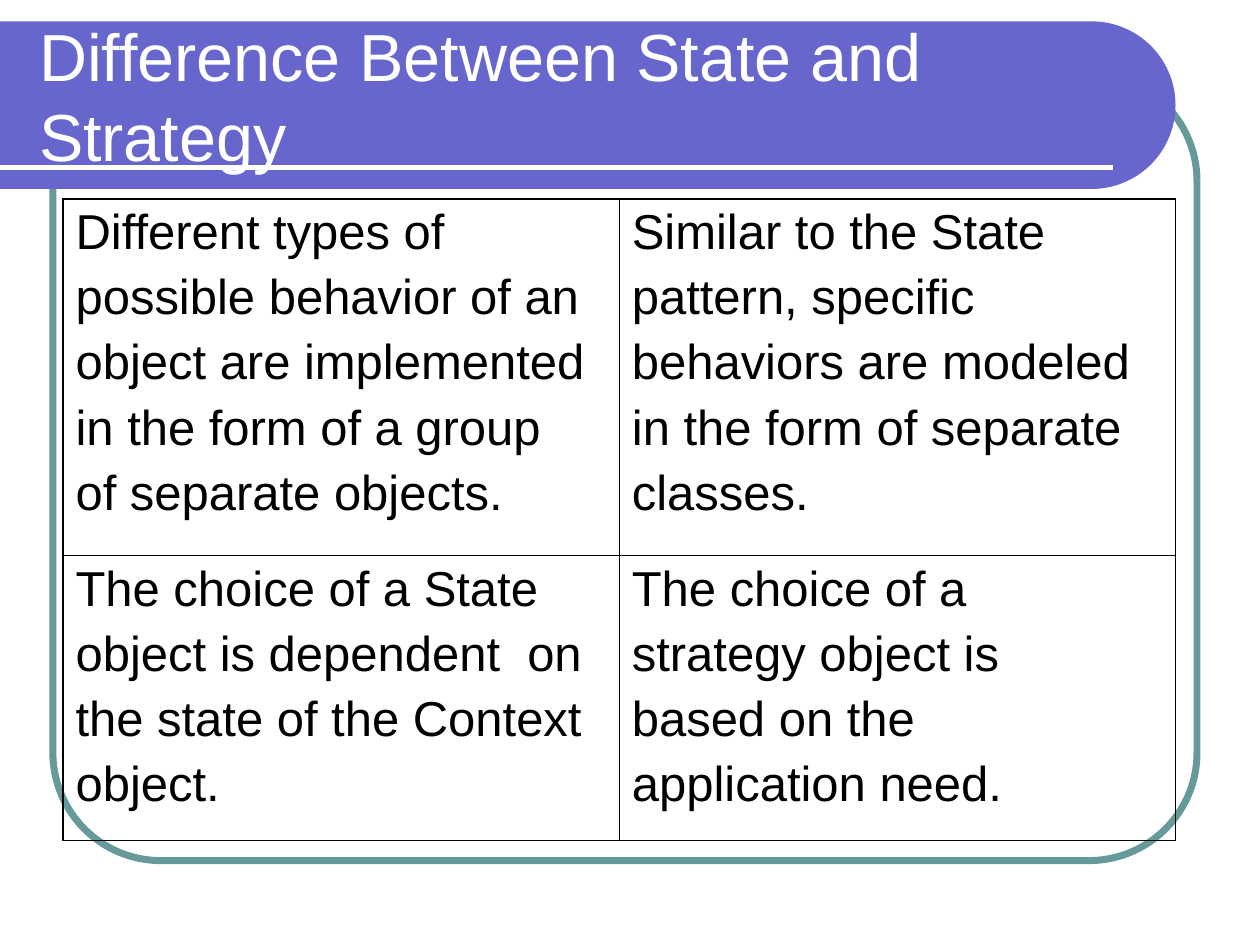
from dataclasses import dataclass
from math import cos, pi, sin

from lxml import etree
from pptx import Presentation
from pptx.dml.color import RGBColor
from pptx.enum.shapes import MSO_CONNECTOR, MSO_SHAPE
from pptx.enum.text import MSO_ANCHOR, MSO_AUTO_SIZE, PP_ALIGN
from pptx.oxml.ns import qn
from pptx.util import Inches, Pt

STRAIGHT = MSO_CONNECTOR.STRAIGHT
ROUNDED = MSO_SHAPE.ROUNDED_RECTANGLE
MIDDLE = MSO_ANCHOR.MIDDLE
NO_FIT = MSO_AUTO_SIZE.NONE
LEFT = PP_ALIGN.LEFT
TITLE_ONLY = 5


@dataclass(frozen=True)
class Theme:
    font: str = "Arial"
    title_size: int = 38
    body_size: int = 28
    body_gap: int = 6
    white: str = "FFFFFF"
    black: str = "000000"
    banner: str = "6666CC"
    frame: str = "669999"
    outer_border: float = 1.08
    inner_border: float = 0.45


CELLS = [
    [
        [
            "Different types of",
            "possible behavior of an",
            "object are implemented",
            "in the form of a group",
            "of separate objects.",
        ],
        [
            "Similar to the State",
            "pattern, specific",
            "behaviors are modeled",
            "in the form of separate",
            "classes.",
        ],
    ],
    [
        [
            "The choice of a State",
            "object is dependent  on",
            "the state of the Context",
            "object.",
        ],
        [
            "The choice of a",
            "strategy object is",
            "based on the",
            "application need.",
        ],
    ],
]


def write_text(frame, lines, *, font, size, color, gap=0):
    for index, line in enumerate(lines):
        para = frame.paragraphs[0] if index == 0 else frame.add_paragraph()
        para.alignment = LEFT
        para.space_before = Pt(gap)
        span = para.add_run()
        span.text = line
        span.font.name = font
        span.font.size = Pt(size)
        span.font.color.rgb = RGBColor.from_string(color)


class SlideBuilder:
    """Draws styled elements on the current slide."""

    def __init__(self, page, theme):
        self.page = page
        self.theme = theme

    def frame(self, left, top, width, height):
        box = self.page.shapes.add_shape(
            ROUNDED, Inches(left), Inches(top), Inches(width), Inches(height)
        )
        box.adjustments[0] = 0.137
        box.shadow.inherit = False
        box.fill.background()
        box.line.color.rgb = RGBColor.from_string(self.theme.frame)
        box.line.width = Pt(4)

    def banner(self, top, width, height, steps=60):
        radius = height / 2
        center = width - radius
        arc = []
        for step in range(steps + 1):
            angle = pi * step / steps - pi / 2
            x = center + radius * cos(angle)
            y = top + radius + radius * sin(angle)
            arc.append((Inches(x), Inches(y)))
        outline = self.page.shapes.build_freeform(0, Inches(top))
        outline.add_line_segments(arc + [(0, Inches(top + height))], close=True)
        box = outline.convert_to_shape()
        box.shadow.inherit = False
        box.fill.solid()
        box.fill.fore_color.rgb = RGBColor.from_string(self.theme.banner)
        box.line.fill.background()

    def rule(self, top, width):
        line = self.page.shapes.add_connector(
            STRAIGHT, 0, Inches(top), Inches(width), Inches(top)
        )
        line.line.color.rgb = RGBColor.from_string(self.theme.white)
        line.line.width = Pt(3)
        etree.SubElement(line._element.spPr, qn("a:effectLst"))

    def title(self, text, left, top, width, height):
        box = self.page.shapes.title
        box.left, box.top = Inches(left), Inches(top)
        box.width, box.height = Inches(width), Inches(height)
        frame = box.text_frame
        frame.word_wrap = True
        frame.auto_size = NO_FIT
        frame.vertical_anchor = MIDDLE
        write_text(
            frame,
            [text],
            font=self.theme.font,
            size=self.theme.title_size,
            color=self.theme.white,
        )
        self.page.shapes._spTree.append(box._element)

    def border(self, cell, side, width):
        properties = cell._tc.get_or_add_tcPr()
        line = etree.SubElement(properties, qn(f"a:{side}"), w=str(Pt(width)))
        fill = etree.SubElement(line, qn("a:solidFill"))
        etree.SubElement(fill, qn("a:srgbClr"), val=self.theme.black)

    def table(self, rows, left, top, width, heights):
        row_count, column_count = len(rows), len(rows[0])
        table = self.page.shapes.add_table(
            row_count,
            column_count,
            Inches(left),
            Inches(top),
            Inches(width),
            Inches(sum(heights)),
        ).table
        table.first_row = table.horz_banding = False
        for r, row in enumerate(rows):
            table.rows[r].height = Inches(heights[r])
            for c, lines in enumerate(row):
                cell = table.cell(r, c)
                write_text(
                    cell.text_frame,
                    lines,
                    font=self.theme.font,
                    size=self.theme.body_size,
                    color=self.theme.black,
                    gap=self.theme.body_gap,
                )
                edges = {
                    "lnL": c == 0,
                    "lnR": c == column_count - 1,
                    "lnT": r == 0,
                    "lnB": r == row_count - 1,
                }
                for side, outer in edges.items():
                    weight = self.theme.outer_border if outer else self.theme.inner_border
                    self.border(cell, side, weight)
                cell.fill.background()


def main():
    deck = Presentation()
    deck.slide_width, deck.slide_height = Inches(10), Inches(7.5)
    page = deck.slides.add_slide(deck.slide_layouts[TITLE_ONLY])
    builder = SlideBuilder(page, Theme())
    builder.frame(0.42, 0.58, 9.08, 6.25)
    builder.banner(0.17, 9.33, 1.33)
    builder.rule(1.33, 8.83)
    builder.title("Difference Between State and Strategy", 0.21, 0.25, 8.77, 1)
    builder.table(CELLS, 0.5, 1.58, 8.83, [2.83, 2.26])
    deck.save("out.pptx")


if __name__ == "__main__":
    main()
